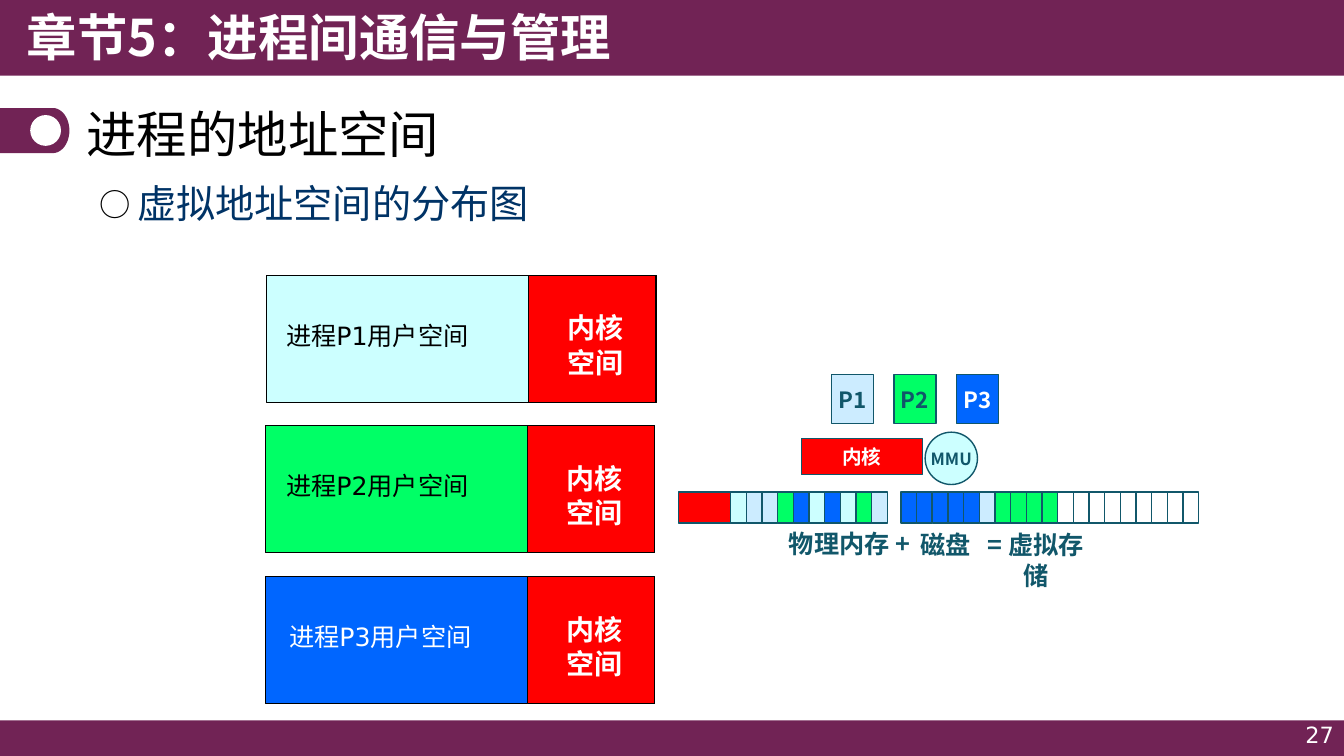
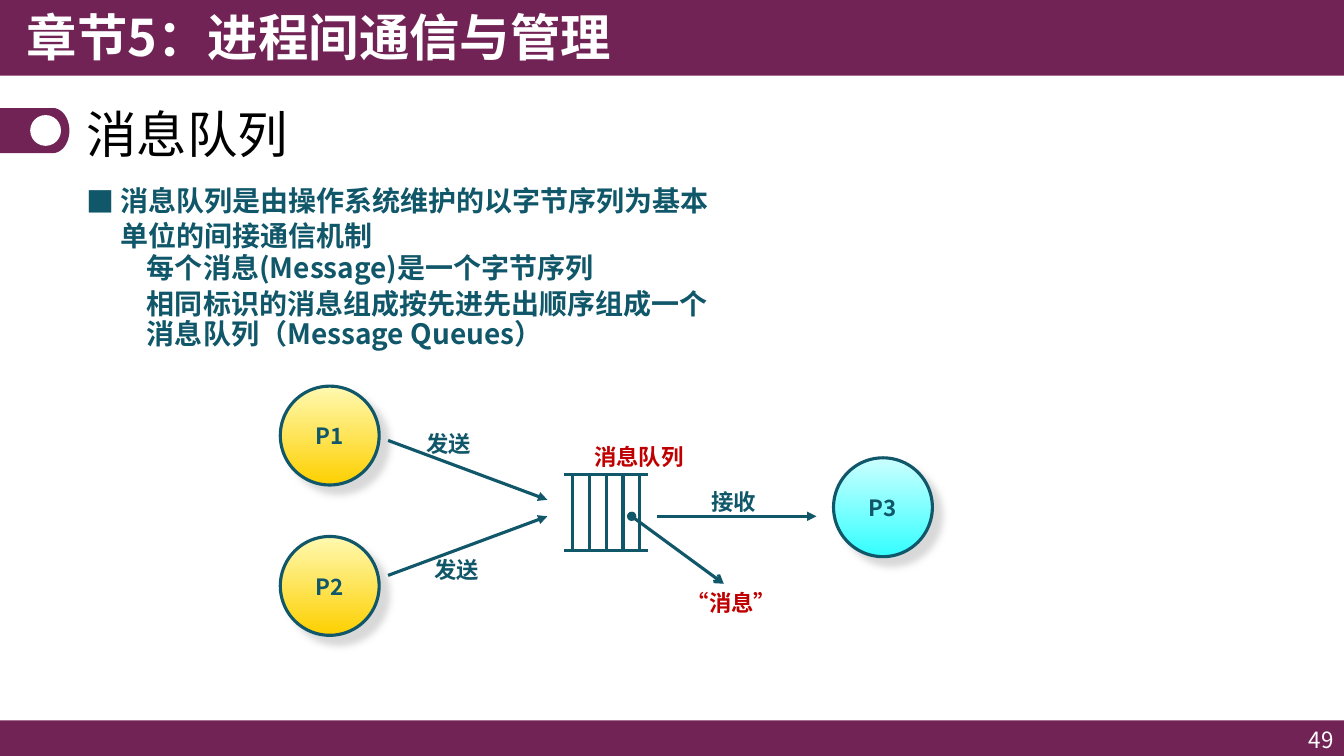
from dataclasses import dataclass, replace
from math import cos, pi, sin
from typing import Optional

from lxml.etree import SubElement
from pptx import Presentation
from pptx.dml.color import RGBColor
from pptx.enum.lang import MSO_LANGUAGE_ID
from pptx.enum.shapes import MSO_CONNECTOR, MSO_SHAPE
from pptx.enum.text import MSO_ANCHOR, PP_ALIGN
from pptx.oxml.ns import qn
from pptx.util import Pt

COLORS = {
    "plum": "712355", "white": "FFFFFF", "black": "000000", "navy": "003366",
    "teal": "11576A", "red": "FF0000", "crimson": "C00000", "cyan": "CCFFFF",
    "sky": "CCECFF", "green": "00FF66", "blue": "0066FF", "cream": "FFF9B1",
    "gold": "FDD000", "aqua": "33FFFF", "shade": "CCCCCC",
}
CHINESE_FONT = "Noto Sans CJK SC"
PLAIN_FONT = "DejaVu Sans"
LINE_FACTOR = 1.22


@dataclass(frozen=True)
class Area:
    left: float
    top: float
    width: float
    height: float

    def lengths(self) -> tuple:
        return Pt(self.left), Pt(self.top), Pt(self.width), Pt(self.height)


@dataclass(frozen=True)
class Style:
    size: float
    color: str
    bold: bool = False
    font: str = CHINESE_FONT
    align: PP_ALIGN = PP_ALIGN.LEFT
    anchor: MSO_ANCHOR = MSO_ANCHOR.TOP
    wrap: bool = True


@dataclass(frozen=True)
class Process:
    name: str
    area: Area
    fill: str
    text_color: str
    label_left: float = 197.3
    label_width: float = 155.5


@dataclass(frozen=True)
class Node:
    name: str
    left: float
    top: float
    light: str
    deep: str


@dataclass(frozen=True)
class Arrow:
    start: tuple[float, float]
    end: tuple[float, float]
    head: Optional[str] = None
    tail: Optional[str] = None


@dataclass(frozen=True)
class Label:
    text: str
    area: Area
    color: str = "teal"


@dataclass(frozen=True)
class Item:
    text: str
    line: float
    before: float
    indent: float
    bullet: Optional[str] = None


BANNER = Style(36, "white", True)
HEADING = Style(36, "black", anchor=MSO_ANCHOR.MIDDLE)
NUMBER = Style(16, "white", align=PP_ALIGN.RIGHT, anchor=MSO_ANCHOR.MIDDLE)
KERNEL = Style(20, "white", True)
CENTERED = Style(16, "teal", True, align=PP_ALIGN.CENTER, anchor=MSO_ANCHOR.MIDDLE, wrap=False)
CAPTION = Style(18, "teal", True)
SIDE_LABEL = Style(16, "teal", True, align=PP_ALIGN.RIGHT, wrap=False)


def rgb(name: str) -> RGBColor:
    return RGBColor.from_string(COLORS[name])


def format_paragraph(para, style: Style, line: Optional[float] = None) -> None:
    para.alignment = style.align
    para.line_spacing = Pt(line or round(style.size * LINE_FACTOR, 1))
    para.space_before = Pt(0)
    for span in para.runs:
        font = span.font
        font.size = Pt(style.size)
        font.bold = style.bold
        font.name = style.font
        font.color.rgb = rgb(style.color)
        font.language_id = MSO_LANGUAGE_ID.SIMPLIFIED_CHINESE
        latin = span._r.rPr.find(qn("a:latin"))
        east_asian = latin.makeelement(qn("a:ea"), {"typeface": CHINESE_FONT})
        latin.addnext(east_asian)


def write(shape, text: str, style: Style) -> None:
    frame = shape.text_frame
    frame.text = text
    frame.word_wrap = style.wrap
    frame.vertical_anchor = style.anchor
    for para in frame.paragraphs:
        format_paragraph(para, style)


def add_text(page, area: Area, text: str, style: Style):
    box = page.shapes.add_textbox(*area.lengths())
    write(box, text, style)
    return box


def add_bullet(para, symbol: str, color: str, percent: int, indent: float) -> None:
    properties = para._p.get_or_add_pPr()
    properties.set("marL", str(Pt(indent)))
    properties.set("indent", str(-Pt(indent)))
    bullet_color = SubElement(properties, qn("a:buClr"))
    SubElement(bullet_color, qn("a:srgbClr"), val=COLORS[color])
    SubElement(properties, qn("a:buSzPct"), val=str(percent * 1000))
    SubElement(properties, qn("a:buFont"), typeface="Noto Sans CJK JP")
    SubElement(properties, qn("a:buChar"), char=symbol)


def paint(shape, fill: str, line: Optional[str] = None, weight: float = 1) -> None:
    shape.shadow.inherit = False
    shape.fill.solid()
    shape.fill.fore_color.rgb = rgb(fill)
    if line is None:
        shape.line.fill.background()
    else:
        shape.line.color.rgb = rgb(line)
        shape.line.width = Pt(weight)


def add_box(page, area: Area, fill: str, line: Optional[str] = None, weight: float = 1,
            preset: MSO_SHAPE = MSO_SHAPE.RECTANGLE):
    box = page.shapes.add_shape(preset, *area.lengths())
    paint(box, fill, line, weight)
    return box


def add_line(page, arrow: Arrow) -> None:
    connector = page.shapes.add_connector(
        MSO_CONNECTOR.STRAIGHT, *(Pt(value) for value in arrow.start + arrow.end))
    connector.line.color.rgb = rgb("teal")
    connector.line.width = Pt(2.25)
    outline = connector.line._get_or_add_ln()
    for tag, kind in (("a:headEnd", arrow.head), ("a:tailEnd", arrow.tail)):
        if kind:
            SubElement(outline, qn(tag), type=kind)
    SubElement(connector._element.spPr, qn("a:effectLst"))


def add_badge(page) -> None:
    """Draw the round-ended tab beside the heading."""
    middle, radius_x, radius_y, steps = 93.3, 11.8, 16.1, 24
    angles = [-pi / 2 + pi * step / steps for step in range(steps + 1)]
    curve = [(Pt(37.8 + radius_x * cos(angle)), Pt(middle + radius_y * sin(angle)))
             for angle in angles]
    builder = page.shapes.build_freeform(0, Pt(middle - radius_y))
    builder.add_line_segments(curve + [(0, Pt(middle + radius_y))], close=True)
    paint(builder.convert_to_shape(), "plum")
    add_box(page, Area(21.6, 82.2, 22, 22), "white", preset=MSO_SHAPE.OVAL)


def add_page(deck, heading: str, number: str, number_top: float, number_font: str):
    page = deck.slides.add_slide(deck.slide_layouts[6])
    add_box(page, Area(0, 514.6, 960, 25.6), "plum")
    add_box(page, Area(0, 0, 960, 54), "plum")
    add_badge(page)
    add_text(page, Area(12.2, 0, 527, 55.4), "章节5：进程间通信与管理", BANNER)
    add_text(page, Area(54.7, 68.4, 850, 53.3), heading, HEADING)
    add_text(page, Area(735.8, number_top, 224, 23.8), number, replace(NUMBER, font=number_font))
    return page


def add_process(page, process: Process) -> None:
    area = process.area
    add_box(page, area, process.fill, "black", 0.75)
    add_box(page, Area(area.left + 187.2, area.top, 90.8, area.height), "red", "black", 0.75)
    add_text(page, Area(process.label_left, area.top + 28, process.label_width, 28.8),
             f"进程{process.name}用户空间", Style(18, process.text_color, font=PLAIN_FONT))
    add_text(page, Area(area.left + 208, area.top + 21.6, 72.7, 55.4), "内核\n空间", KERNEL)


def add_cells(page, left: float, fills: list[str]) -> None:
    pitch = 11.2
    for index, fill in enumerate(fills):
        add_box(page, Area(left + pitch * index, 351.4, pitch, 22.3), fill, "teal")


def add_node(page, node: Node) -> None:
    circle = add_box(page, Area(node.left, node.top, 70.6, 70.6), node.light, "teal", 2.25,
                     MSO_SHAPE.OVAL)
    circle.fill.gradient()
    circle.fill.gradient_angle = 270
    for stop, color in zip(circle.fill.gradient_stops, (node.light, node.deep)):
        stop.color.rgb = rgb(color)
    effects = circle._element.spPr.find(qn("a:effectLst"))
    shadow = SubElement(effects, qn("a:outerShdw"), blurRad=str(Pt(5)), dist=str(Pt(8.5)),
                        dir="2700000", algn="ctr", rotWithShape="0")
    shade = SubElement(shadow, qn("a:srgbClr"), val=COLORS["shade"])
    SubElement(shade, qn("a:alpha"), val="75000")
    write(circle, node.name, CENTERED)


def add_queue(page) -> None:
    top, bottom = 339, 393
    for height in (top, bottom):
        add_line(page, Arrow((403.2, height), (463.2, height)))
    for index in range(5):
        left = 409 + 12 * index
        add_line(page, Arrow((left, top), (left, bottom)))


def build_address_space(deck) -> None:
    page = add_page(deck, "进程的地址空间", "27", 512.6, PLAIN_FONT)
    body = add_text(page, Area(64, 123.8, 850, 342), "虚拟地址空间的分布图", Style(28, "navy"))
    add_bullet(body.text_frame.paragraphs[0], "○", "black", 80, 27)

    top, step, width, height = 196.6, 107.6, 278, 90.8
    processes = [
        Process("P1", Area(190.6, top, width, height), "cyan", "black"),
        Process("P2", Area(189.4, top + step, width, height), "green", "black"),
        Process("P3", Area(189.4, top + 2 * step, width, height), "blue", "white", 199.4, 150),
    ]
    for process in processes:
        add_process(page, process)

    tiles = [("P1", "sky", "teal"), ("P2", "green", "teal"), ("P3", "blue", "white")]
    for index, (name, fill, color) in enumerate(tiles):
        tile = add_box(page, Area(594 + 44.7 * index, 267.4, 29.8, 35), fill, "teal")
        write(tile, name, replace(CENTERED, color=color))

    add_box(page, Area(484.6, 351.4, 37.3, 22.3), "red", "teal")
    add_cells(page, 521.9, "cyan sky sky green blue cyan blue cyan green sky".split())
    add_cells(page, 643.5, ["blue"] * 5 + ["sky"] + ["green"] * 4 + ["white"] * 9)

    kernel = add_box(page, Area(572.4, 313.4, 86.4, 25.8), "red", "teal")
    write(kernel, "内核", replace(CENTERED, size=14, color="white"))
    unit = add_box(page, Area(660.8, 308.7, 37.4, 37.4), "cyan", "teal", preset=MSO_SHAPE.OVAL)
    write(unit, "MMU", replace(CENTERED, size=12))

    add_text(page, Area(556.4, 373.4, 108, 29.5), "物理内存 +", CAPTION)
    middle = replace(CAPTION, align=PP_ALIGN.CENTER)
    add_text(page, Area(650, 373.8, 50.4, 29.5), "磁盘", replace(middle, wrap=False))
    add_text(page, Area(693, 374.4, 93.6, 29.5), "= 虚拟存储", middle)


def build_message_queue(deck) -> None:
    page = add_page(deck, "消息队列", "49", 516.2, CHINESE_FONT)
    items = [
        Item("消息队列是由操作系统维护的以字节序列为基本单位的间接通信机制", 24.4, 0, 24, "■"),
        Item("每个消息(Message)是一个字节序列", 21.6, 1.4, 43.2),
        Item("相同标识的消息组成按先进先出顺序组成一个消息队列（Message Queues）", 21.6, 4, 43.2),
    ]
    style = Style(20, "teal", True)
    box = add_text(page, Area(54.7, 127.4, 462, 135), "\n".join(item.text for item in items), style)
    for para, item in zip(box.text_frame.paragraphs, items):
        if item.bullet:
            add_bullet(para, item.bullet, "teal", 100, item.indent)
        else:
            para._p.get_or_add_pPr().set("marL", str(Pt(item.indent)))
        para.line_spacing = Pt(item.line)
        para.space_before = Pt(item.before)

    nodes = [
        Node("P1", 200.2, 275.8, "cream", "gold"),
        Node("P2", 200.2, 383.2, "cream", "gold"),
        Node("P3", 595.4, 327, "cyan", "aqua"),
    ]
    for node in nodes:
        add_node(page, node)
    add_queue(page)

    arrows = [
        Arrow((277.2, 314.6), (391, 357), tail="triangle"),
        Arrow((277.2, 411), (391, 368.8), tail="triangle"),
        Arrow((469.4, 368.8), (583.2, 368.8), tail="triangle"),
        Arrow((451.2, 368.8), (517, 417), head="oval", tail="arrow"),
    ]
    for arrow in arrows:
        add_line(page, arrow)

    labels = [
        Label("发送", Area(296.6, 303.2, 46.8, 26.6)),
        Label("发送", Area(302.4, 393.2, 46.8, 26.6)),
        Label("接收", Area(500.4, 345, 46.8, 26.6)),
        Label("消息队列", Area(416.2, 312.4, 79.2, 26.6), "crimson"),
        Label("“消息”", Area(482.4, 417, 79.2, 26.6), "crimson"),
    ]
    for label in labels:
        add_text(page, label.area, label.text, replace(SIDE_LABEL, color=label.color))


def main() -> None:
    deck = Presentation()
    deck.slide_width, deck.slide_height = Pt(960), Pt(540)
    build_address_space(deck)
    build_message_queue(deck)
    deck.save("out.pptx")


if __name__ == "__main__":
    main()
